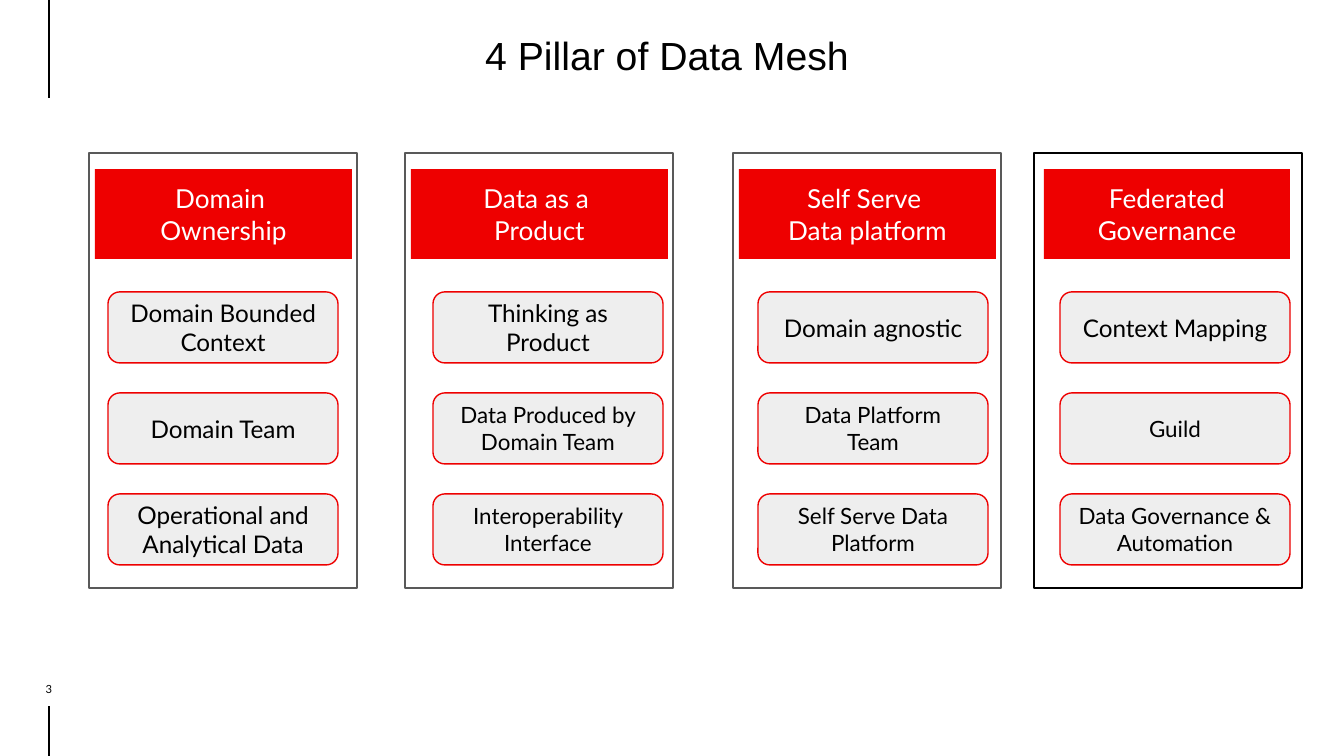
from dataclasses import dataclass

from lxml import etree
from pptx import Presentation
from pptx import util as u
from pptx.dml import color
from pptx.enum import shapes, text
from pptx.oxml import ns

SCALE = 914400 / 134.4


@dataclass(frozen=True)
class Theme:
    red: str = "EE0000"
    card: str = "EEEEEE"
    white: str = "FFFFFF"
    black: str = "000000"
    grey: str = "595959"
    title_font: str = "Arial"
    body_font: str = "Lato"
    title: int = 21
    header: int = 14
    large: int = 13
    small: int = 12
    number: int = 6
    line: float = 0.75


T = Theme()

PILLARS = [
    dict(x=89, border=T.grey, header=(6, 257), card_x=19, name="Domain \vOwnership",
         cards=[("Domain Bounded Context", T.large), ("Domain Team", T.large),
                ("Operational and Analytical Data", T.large)]),
    dict(x=405, border=T.grey, header=(6, 257), card_x=28, name="Data as a \vProduct",
         cards=[("Thinking as Product", T.large), ("Data Produced by Domain Team", T.small),
                ("Interoperability Interface", T.small)]),
    dict(x=733, border=T.grey, header=(6, 257), card_x=25, name="Self Serve \vData platform",
         cards=[("Domain agnostic", T.large), ("Data Platform\vTeam", T.small),
                ("Self Serve Data Platform", T.small)]),
    dict(x=1034, border=T.black, header=(10, 246), card_x=26, name="Federated Governance",
         cards=[("Context Mapping", T.large), ("Guild", T.small),
                ("Data Governance & Automation", T.small)]),
]


def px(n):
    return u.Emu(round(n * SCALE))


def rgb(value):
    return color.RGBColor.from_string(value)


def put_text(sp, words, size, ink, font=T.body_font, inset=13, anchor=text.MSO_ANCHOR.MIDDLE):
    tf = sp.text_frame
    tf.word_wrap = True
    tf.vertical_anchor = anchor
    tf.margin_left = tf.margin_right = tf.margin_top = tf.margin_bottom = px(inset)
    tf.text = words
    p = tf.paragraphs[0]
    p.alignment = text.PP_ALIGN.CENTER
    for r in p.runs:
        r.font.size = u.Pt(size)
        r.font.name = font
        r.font.color.rgb = rgb(ink)
    return p


def add_box(s, kind, x, y, w, h, fill, line=None):
    sp = s.shapes.add_shape(kind, px(x), px(y), px(w), px(h))
    sp.shadow.inherit = False
    sp.fill.solid()
    sp.fill.fore_color.rgb = rgb(fill)
    if line:
        sp.line.color.rgb = rgb(line)
        sp.line.width = u.Pt(T.line)
    else:
        sp.line.fill.background()
    return sp


def add_rule(s, x, top, bottom):
    cn = s.shapes.add_connector(shapes.MSO_CONNECTOR.STRAIGHT, px(x), px(bottom), px(x), px(top))
    cn.line.color.rgb = rgb(T.black)
    cn.line.width = u.Pt(T.line)
    etree.SubElement(cn._element.spPr, ns.qn("a:effectLst"))


def add_margin(s, x, y, w, h):
    add_rule(s, x + w // 2, y, y + 98)
    add_rule(s, x + w // 2, y + h - 50, y + h)
    tb = s.shapes.add_textbox(px(x), px(y + h - 76), px(w), px(16))
    put_text(tb, "3", T.number, T.black, inset=0, anchor=text.MSO_ANCHOR.BOTTOM)


def add_title(s, x, y, w, h):
    tb = s.shapes.add_textbox(px(x), px(y), px(w), px(h))
    p = put_text(tb, "4 Pillar of Data Mesh ", T.title, T.black, T.title_font, 0,
                 text.MSO_ANCHOR.TOP)
    p.line_spacing = 1.3


def add_pillar(s, x, y, w, h, pillar):
    rect = shapes.MSO_SHAPE.RECTANGLE
    add_box(s, rect, x, y, w, h, T.white, pillar["border"])
    dx, width = pillar["header"]
    header = add_box(s, rect, x + dx, y + 16, width, 90, T.red)
    put_text(header, pillar["name"], T.header, T.white)
    for i, (words, size) in enumerate(pillar["cards"]):
        card = add_box(s, shapes.MSO_SHAPE.ROUNDED_RECTANGLE, x + pillar["card_x"],
                       y + 139 + 101 * i, 230, 71, T.card, T.red)
        put_text(card, words, size, T.black)


def main():
    prs = Presentation()
    prs.slide_width, prs.slide_height = px(1344), px(756)
    s = prs.slides.add_slide(prs.slide_layouts[6])
    add_margin(s, 9, 0, 80, 756)
    add_title(s, 98, 17, 1149, 60)
    for pillar in PILLARS:
        add_pillar(s, pillar["x"], 153, 268, 435, pillar)
    prs.save("out.pptx")


if __name__ == "__main__":
    main()
